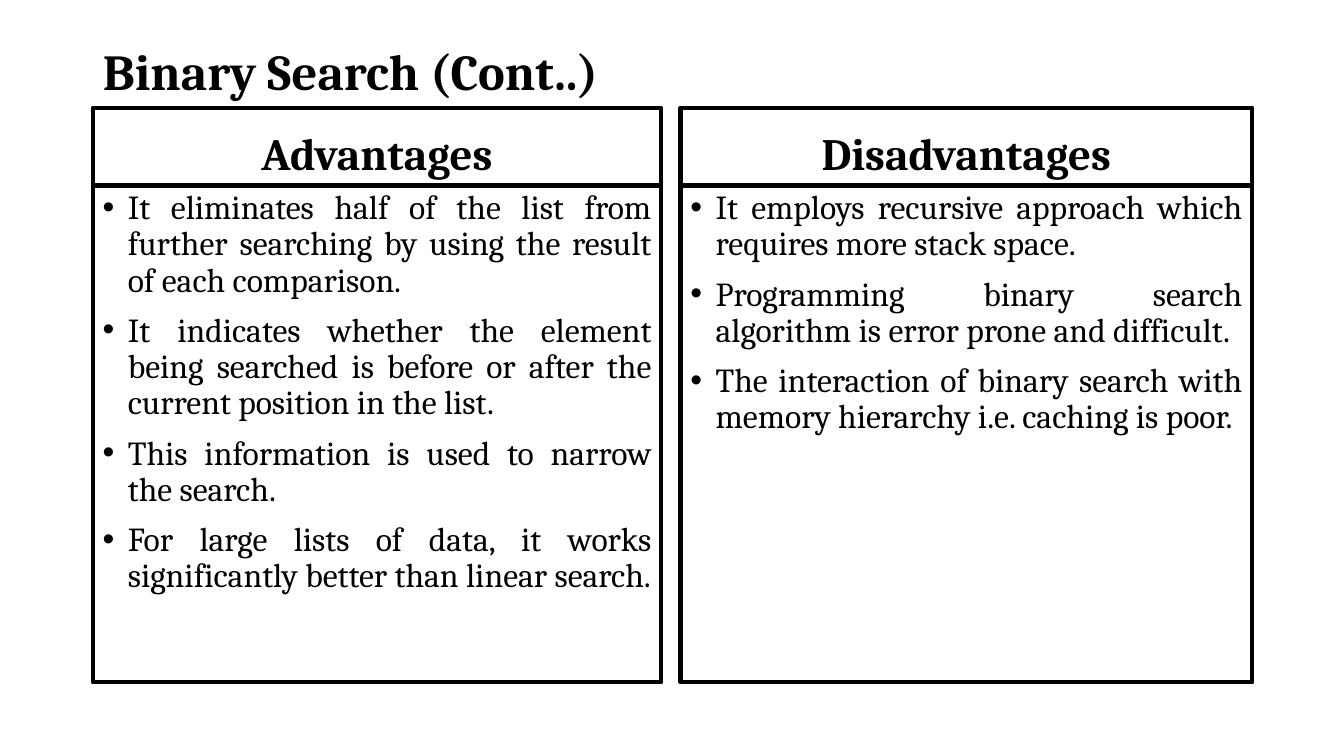
from dataclasses import dataclass

from lxml.etree import SubElement
from pptx import Presentation
from pptx.dml.color import RGBColor
from pptx.enum.shapes import MSO_SHAPE as Shape
from pptx.enum.text import MSO_ANCHOR as Anchor, MSO_AUTO_SIZE as AutoSize, PP_ALIGN as Align
from pptx.oxml.ns import qn
from pptx.util import Inches, Pt

COLORS = {"ink": "000000"}
FONT = "Cambria"
TITLE_ONLY = 5

# Grid: row edges and column positions in inches
TITLE_TOP, HEADING_TOP, LIST_TOP, LIST_BOTTOM = 0.4, 1.07, 1.84, 6.77
LEFT, CONTENT_WIDTH = 0.92, 11.5
BULLET_INDENT = 0.25


@dataclass
class Column:
    left: float
    width: float
    heading: str
    points: list[str]


COLUMNS = [
    Column(LEFT, 5.64, "Advantages", [
        "It eliminates half of the list from further searching by using the result of each comparison.",
        "It indicates whether the element being searched is before or after the current position in the list.",
        "This information is used to narrow the search.",
        "For large lists of data, it works significantly better than linear search.",
    ]),
    Column(6.75, 5.67, "Disadvantages", [
        "It employs recursive approach which requires more stack space.",
        "Programming binary search algorithm is error prone and difficult.",
        "The interaction of binary search with memory hierarchy i.e. caching is poor.",
    ]),
]


def ink() -> RGBColor:
    return RGBColor.from_string(COLORS["ink"])


def write(para, text: str, size: int, bold: bool, align: Align, before: int = 0) -> None:
    para.alignment = align
    para.line_spacing = 0.9
    para.space_before = Pt(before)
    span = para.add_run()
    span.text = text
    span.font.name, span.font.size, span.font.bold = FONT, Pt(size), bold
    span.font.color.rgb = ink()


def add_bullet(para) -> None:
    props = para._p.get_or_add_pPr()
    props.set("marL", str(Inches(BULLET_INDENT)))
    props.set("indent", str(-Inches(BULLET_INDENT)))
    SubElement(props, qn("a:buFont")).set("typeface", "Arial")
    SubElement(props, qn("a:buChar")).set("char", "•")


def set_frame(frame, anchor: Anchor) -> None:
    frame.word_wrap = True
    frame.auto_size = AutoSize.NONE
    frame.vertical_anchor = anchor


def add_panel(page, column: Column, top: float, bottom: float, anchor: Anchor):
    box = page.shapes.add_shape(Shape.RECTANGLE, Inches(column.left), Inches(top),
                                Inches(column.width), Inches(bottom - top))
    box.shadow.inherit = False
    box.fill.background()
    box.line.color.rgb = ink()
    box.line.width = Pt(3)
    set_frame(box.text_frame, anchor)
    return box.text_frame


def add_column(page, column: Column) -> None:
    heading = add_panel(page, column, HEADING_TOP, LIST_TOP, Anchor.BOTTOM)
    write(heading.paragraphs[0], column.heading, 32, True, Align.CENTER, 10)
    body = add_panel(page, column, LIST_TOP, LIST_BOTTOM, Anchor.TOP)
    for index, point in enumerate(column.points):
        para = body.add_paragraph() if index else body.paragraphs[0]
        write(para, point, 24, False, Align.JUSTIFY, 10)
        add_bullet(para)


def add_title(page, text: str) -> None:
    title = page.shapes.title
    title.left, title.top = Inches(LEFT), Inches(TITLE_TOP)
    title.width, title.height = Inches(CONTENT_WIDTH), Inches(HEADING_TOP - TITLE_TOP)
    set_frame(title.text_frame, Anchor.MIDDLE)
    write(title.text_frame.paragraphs[0], text, 36, True, Align.LEFT)


def main() -> None:
    deck = Presentation()
    deck.slide_width, deck.slide_height = Inches(13.33), Inches(7.5)
    page = deck.slides.add_slide(deck.slide_layouts[TITLE_ONLY])
    add_title(page, "Binary Search (Cont..)")
    for column in COLUMNS:
        add_column(page, column)
    deck.save("out.pptx")


if __name__ == "__main__":
    main()
